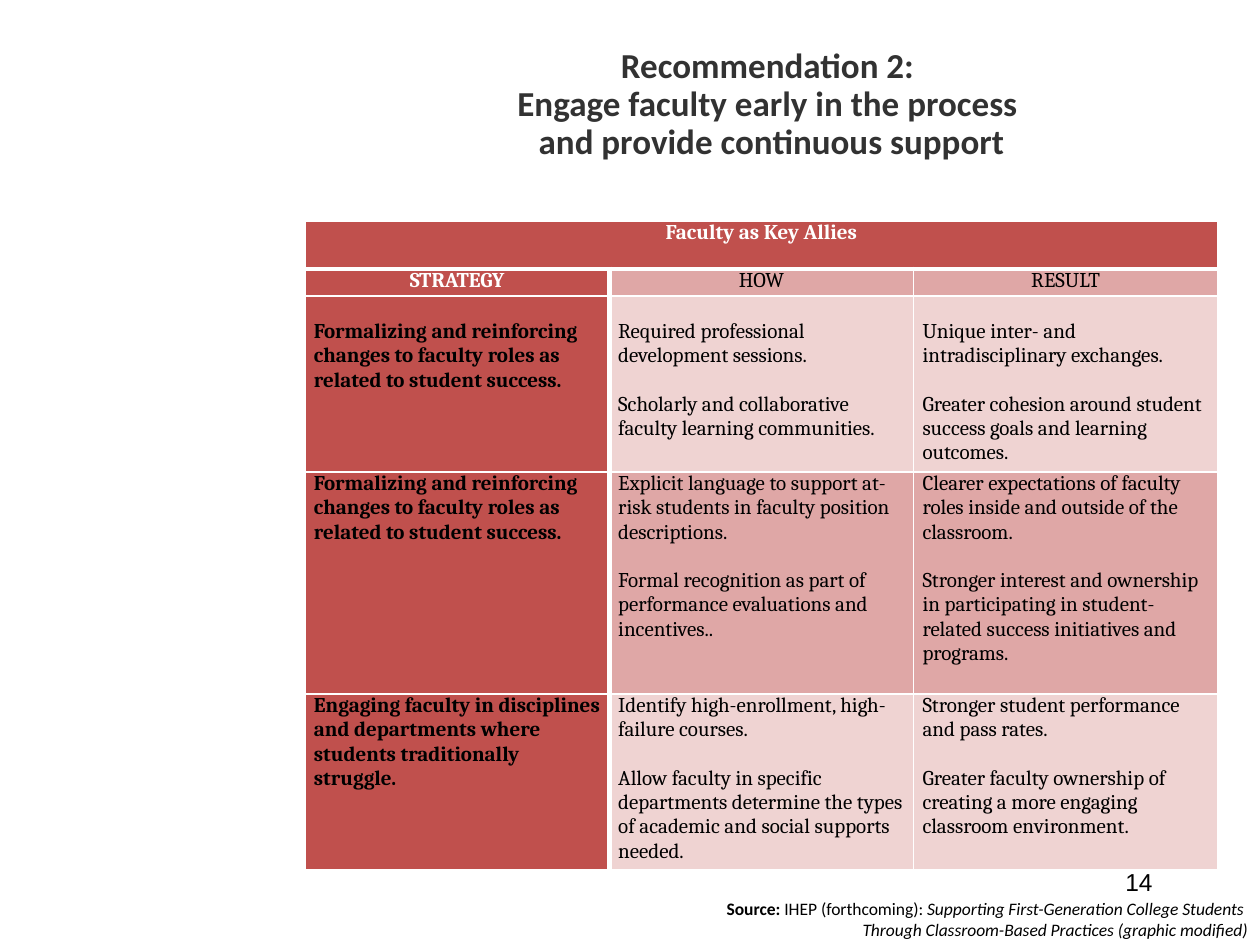
from dataclasses import dataclass

from lxml import etree
from pptx import Presentation
from pptx import util as u
from pptx.dml import color
from pptx.enum import text
from pptx.oxml import ns

PX_PER_INCH = 126
COLORS = {
    "white": "FFFFFF",
    "black": "000000",
    "title": "323232",
    "strong": "C0504D",
    "medium": "DFA7A6",
    "light": "EFD3D2",
}
CENTER, LEFT, RIGHT = text.PP_ALIGN.CENTER, text.PP_ALIGN.LEFT, text.PP_ALIGN.RIGHT


@dataclass
class Strategy:
    name: str
    how: list[str]
    result: list[str]
    height: int
    shade: str
    top_margin: int = 0


FORMALIZING = "Formalizing and reinforcing changes to faculty roles as related to student success."
STRATEGIES = [
    Strategy(
        FORMALIZING,
        ["Required professional development sessions.",
         "Scholarly and collaborative faculty learning communities."],
        ["Unique inter- and intradisciplinary exchanges.",
         "Greater cohesion around student success goals and learning outcomes."],
        176, "light", 24,
    ),
    Strategy(
        FORMALIZING,
        ["Explicit language to support at-risk students in faculty position descriptions.",
         "Formal recognition as part of performance evaluations and incentives.."],
        ["Clearer expectations of faculty roles inside and outside of the classroom.",
         "Stronger interest and ownership in participating in student-related success "
         "initiatives and programs."],
        222, "medium",
    ),
    Strategy(
        "Engaging faculty in disciplines and departments where students traditionally struggle.",
        ["Identify high-enrollment, high-failure courses.",
         "Allow faculty in specific departments determine the types of academic and "
         "social supports needed."],
        ["Stronger student performance and pass rates.",
         "Greater faculty ownership of creating a more engaging classroom environment."],
        176, "light",
    ),
]
HEADER_HEIGHTS = [48, 27]


def px(length: int) -> u.Emu:
    return u.Emu(round(length * 914400 / PX_PER_INCH))


def add_span(para, words: str, *, size: int, font: str, ink: str = "black",
             bold: bool = False, italic: bool = False) -> None:
    span = para.add_run()
    span.text = words
    span.font.name = font
    span.font.size = u.Pt(size)
    span.font.bold = bold
    span.font.italic = italic
    span.font.color.rgb = color.RGBColor.from_string(COLORS[ink])


def add_box(page, left: int, top: int, width: int, height: int):
    frame = page.shapes.add_textbox(px(left), px(top), px(width), px(height)).text_frame
    frame.word_wrap = True
    return frame


def set_borders(cell, row: int, column: int) -> None:
    thick = {
        "lnL": row > 0 and column == 1,
        "lnR": row > 0 and column == 0,
        "lnT": row == 1,
        "lnB": row == 0,
    }
    properties = cell._tc.get_or_add_tcPr()
    for edge, is_thick in thick.items():
        line = etree.SubElement(properties, ns.qn(f"a:{edge}"), w=str(u.Pt(3 if is_thick else 1)))
        fill = etree.SubElement(line, ns.qn("a:solidFill"))
        etree.SubElement(fill, ns.qn("a:srgbClr"), val=COLORS["white"])


def fill_cell(table, row: int, column: int, paragraphs: list[str], *, shade: str,
              ink: str = "black", bold: bool = False, align=LEFT, top_margin: int = 0) -> None:
    cell = table.cell(row, column)
    set_borders(cell, row, column)
    cell.fill.solid()
    cell.fill.fore_color.rgb = color.RGBColor.from_string(COLORS[shade])
    cell.margin_left = cell.margin_right = px(9)
    cell.margin_top, cell.margin_bottom = px(top_margin), 0
    cell.vertical_anchor = text.MSO_ANCHOR.TOP
    for index, words in enumerate(paragraphs):
        para = cell.text_frame.add_paragraph() if index else cell.text_frame.paragraphs[0]
        para.alignment = align
        if index:
            para.space_before = u.Pt(14)
        add_span(para, words, size=12, font="Cambria", ink=ink, bold=bold)


def add_title(page) -> None:
    title = page.shapes.title
    title.left, title.top, title.width, title.height = px(284), px(42), px(975), px(168)
    frame = title.text_frame
    frame.word_wrap = False
    frame.auto_size = text.MSO_AUTO_SIZE.NONE
    frame.vertical_anchor = text.MSO_ANCHOR.TOP
    para = frame.paragraphs[0]
    para.alignment = CENTER
    para.line_spacing = 0.9
    lines = ["Recommendation 2: ", "Engage faculty early in the process ",
             "and provide continuous support"]
    for index, line in enumerate(lines):
        if index:
            para.add_line_break()
        add_span(para, line, size=20, font="Calibri", ink="title", bold=True)


def add_strategy_table(page) -> None:
    heights = HEADER_HEIGHTS + [strategy.height for strategy in STRATEGIES]
    table = page.shapes.add_table(
        len(heights), 3, px(305), px(221), px(913), px(sum(heights))).table
    for row, height in enumerate(heights):
        table.rows[row].height = px(height)
    table.cell(0, 0).merge(table.cell(0, 2))
    for column, words in enumerate(["Faculty as Key Allies", "", ""]):
        fill_cell(table, 0, column, [words], shade="strong", ink="white", bold=True, align=CENTER)
    for column, words in enumerate(["STRATEGY", "HOW", "RESULT"]):
        first = column == 0
        fill_cell(table, 1, column, [words], shade="strong" if first else "medium",
                  ink="white" if first else "black", bold=first, align=CENTER)
    for row, strategy in enumerate(STRATEGIES, start=len(HEADER_HEIGHTS)):
        for column, words in enumerate([[strategy.name], strategy.how, strategy.result]):
            first = column == 0
            fill_cell(table, row, column, words, shade="strong" if first else strategy.shade,
                      bold=first, top_margin=strategy.top_margin)


def add_source(page) -> None:
    frame = add_box(page, 484, 892, 776, 106)
    para = frame.paragraphs[0]
    para.alignment = RIGHT
    add_span(para, "Source: ", size=10, font="Calibri", bold=True)
    add_span(para, "IHEP (forthcoming): ", size=10, font="Calibri")
    add_span(para, "Supporting First-Generation College Students ",
             size=10, font="Calibri", italic=True)
    para = frame.add_paragraph()
    para.alignment = RIGHT
    add_span(para, "Through Classroom-Based Practices (graphic modified)",
             size=10, font="Calibri", italic=True)


def add_page_number(page) -> None:
    para = add_box(page, 903, 861, 262, 63).paragraphs[0]
    para.alignment = RIGHT
    add_span(para, "14", size=14, font="Arial")


def main() -> None:
    deck = Presentation()
    deck.slide_width, deck.slide_height = px(1260), px(945)
    page = deck.slides.add_slide(deck.slide_layouts[5])
    add_title(page)
    add_source(page)
    add_page_number(page)
    add_strategy_table(page)
    deck.save("out.pptx")


if __name__ == "__main__":
    main()
